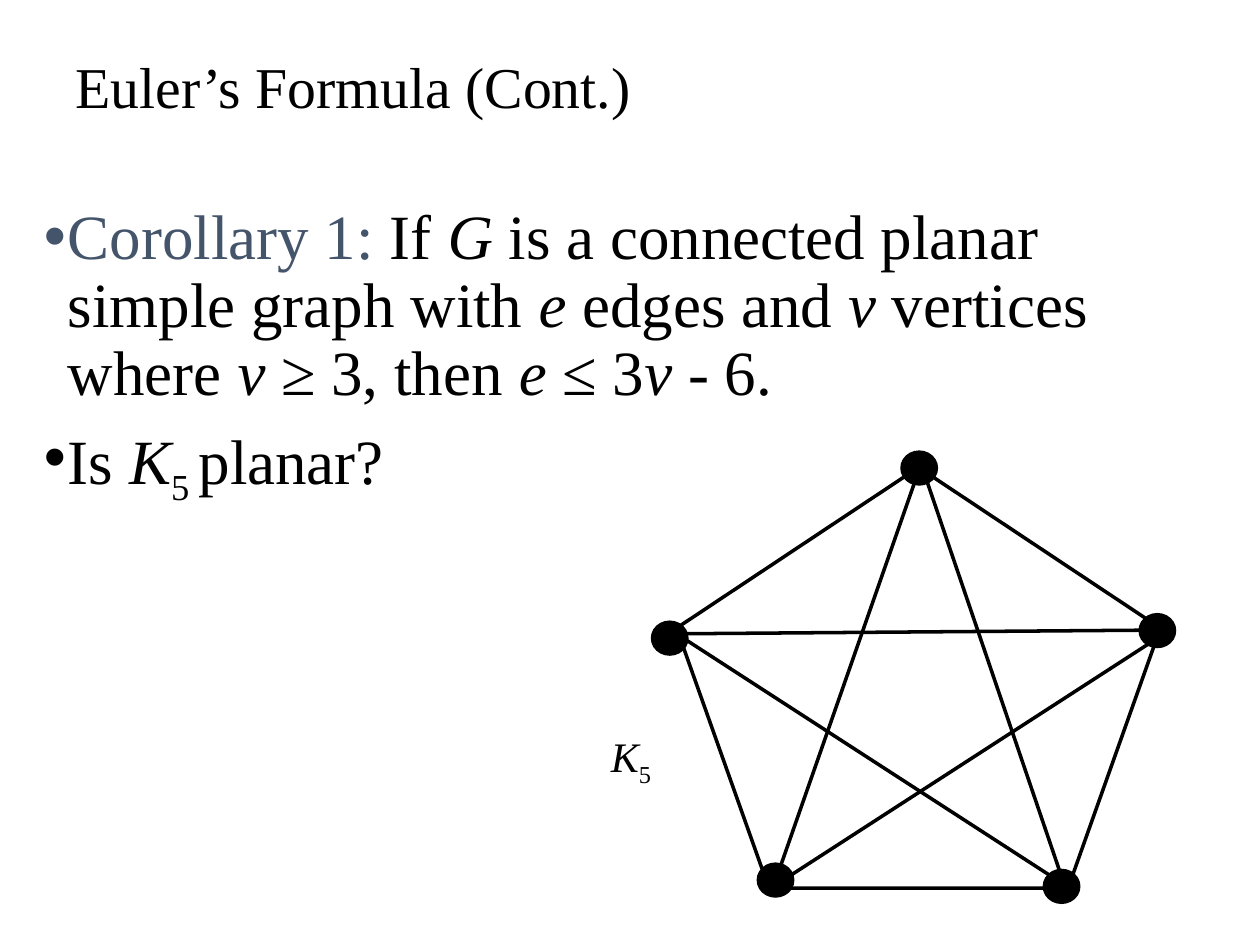
from typing import NamedTuple

from lxml.etree import SubElement as Sub
from pptx import Presentation
from pptx.dml.color import RGBColor as Rgb
from pptx.enum.shapes import MSO_CONNECTOR as Conn, MSO_SHAPE as Kind
from pptx.enum.text import MSO_ANCHOR as Anchor, PP_ALIGN as Align
from pptx.oxml.ns import qn
from pptx.util import Inches, Pt

HUES = {"ink": "000000", "page": "FFFFFF", "lead": "44546A"}
FACE = "Times New Roman"


class Run(NamedTuple):
    text: str
    slant: bool = False
    sub: bool = False
    hue: str = "ink"


class Dot(NamedTuple):
    left: float
    top: float


class Edge(NamedTuple):
    x1: float
    y1: float
    x2: float
    y2: float


RULE = [
    Run("Corollary 1:", hue="lead"), Run(" If "), Run("G", True),
    Run(" is a connected planar simple graph with "), Run("e", True),
    Run(" edges and "), Run("v", True), Run(" vertices where "),
    Run("v ", True), Run("≥ 3, then "), Run("e", True), Run(" ≤ 3"),
    Run("v", True), Run(" - 6."),
]
QUERY = [Run("Is "), Run("K", True), Run("5 ", sub=True), Run("planar?")]
LABEL = [Run("K", True), Run("5", sub=True)]
DOTS = [Dot(7.15, 3.58), Dot(9.04, 4.87), Dot(5.17, 4.93),
        Dot(8.28, 6.9), Dot(6.01, 6.85)]
EDGES = [
    Edge(5.37, 5.03, 8.46, 7.03), Edge(5.4, 5.03, 9.27, 5),
    Edge(7.29, 3.74, 6.13, 7.06), Edge(7.32, 3.71, 8.46, 7.06),
    Edge(9.24, 5.03, 6.07, 7.08),
]


def color(name: str) -> Rgb:
    return Rgb.from_string(HUES[name])


def place(*box: float) -> list:
    return [Inches(n) for n in box]


def write(para, runs: list[Run], size: float) -> None:
    for part in runs:
        run = para.add_run()
        run.text = part.text
        looks = {"name": FACE, "size": Pt(size), "italic": part.slant}
        for key, value in looks.items():
            setattr(run.font, key, value)
        run.font.color.rgb = color(part.hue)
        if part.sub:
            run.font._element.set("baseline", "-25000")


def bullet(para) -> None:
    props = para._p.get_or_add_pPr()
    props.set("marL", str(Inches(0.19)))
    props.set("indent", str(Inches(-0.19)))
    Sub(props, qn("a:buFont"), typeface="Arial")
    Sub(props, qn("a:buChar"), char="•")


def text_box(slide, box: tuple, paras: list, size: float,
             listed: bool = False) -> None:
    frame = slide.shapes.add_textbox(*place(*box)).text_frame
    frame.word_wrap = True
    for i, runs in enumerate(paras):
        para = frame.add_paragraph() if i else frame.paragraphs[0]
        if listed:
            bullet(para)
            para.line_spacing = 0.9
        if i:
            para.space_before = Pt(7.5)
        write(para, runs, size)


def stroke(line, width: float) -> None:
    line.color.rgb = color("ink")
    line.width = Pt(width)


def ring(slide) -> None:
    shape = slide.shapes.add_shape(
        Kind.REGULAR_PENTAGON, *place(5.37, 3.71, 3.84, 3.34))
    shape.shadow.inherit = False
    shape.fill.background()
    stroke(shape.line, 2)


def draw_edge(slide, edge: Edge) -> None:
    line = slide.shapes.add_connector(Conn.STRAIGHT, *place(*edge))
    stroke(line.line, 2)
    Sub(line._element.spPr, qn("a:effectLst"))


def draw_dot(slide, dot: Dot) -> None:
    shape = slide.shapes.add_shape(Kind.OVAL, *place(*dot, 0.29, 0.27))
    shape.shadow.inherit = False
    shape.fill.solid()
    shape.fill.fore_color.rgb = color("ink")
    stroke(shape.line, 0.75)


def head(slide) -> None:
    title = slide.shapes.title
    spots = ("left", "top", "width", "height")
    for key, value in zip(spots, place(0.5, 0.17, 9, 1.08)):
        setattr(title, key, value)
    title.text_frame.vertical_anchor = Anchor.MIDDLE
    para = title.text_frame.paragraphs[0]
    for key, value in {"alignment": Align.LEFT, "line_spacing": 0.9}.items():
        setattr(para, key, value)
    write(para, [Run("Euler’s Formula (Cont.)")], 33)


def main() -> None:
    deck = Presentation()
    deck.slide_width, deck.slide_height = place(10, 7.5)
    slide = deck.slides.add_slide(deck.slide_layouts[5])
    slide.background.fill.solid()
    slide.background.fill.fore_color.rgb = color("page")
    head(slide)
    text_box(slide, (0.25, 1.58, 9.42, 2.75), [RULE, QUERY], 36, True)
    ring(slide)
    for edge in EDGES:
        draw_edge(slide, edge)
    for dot in DOTS:
        draw_dot(slide, dot)
    text_box(slide, (4.75, 5.75, 0.83, 0.5), [LABEL], 24)
    deck.save("out.pptx")


if __name__ == "__main__":
    main()
